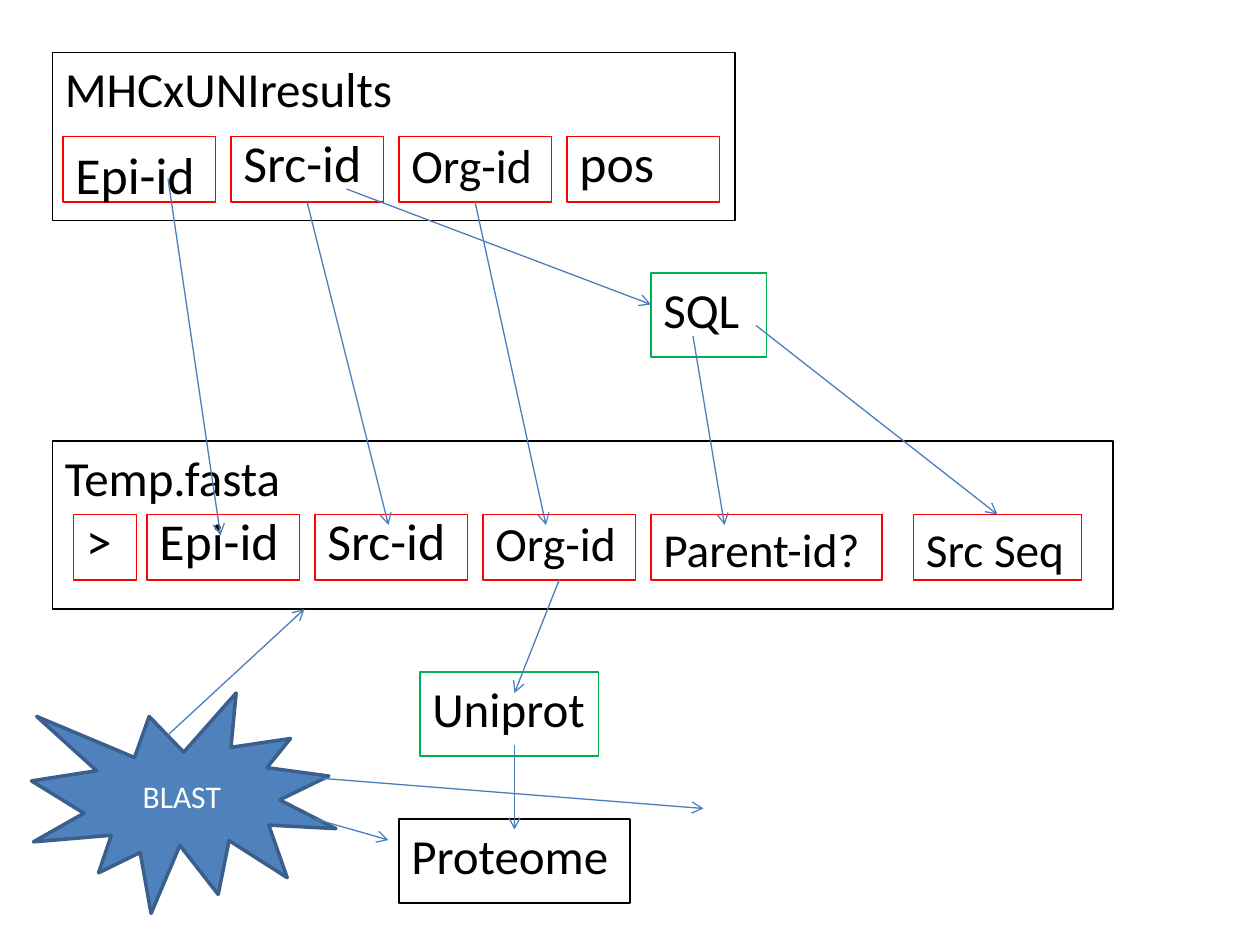
"""Build the epitope data flow slide."""
from lxml import etree
from pptx import Presentation
from pptx.dml.color import RGBColor
from pptx.enum import shapes, text
from pptx.oxml.ns import qn
from pptx.util import Pt

BLACK, RED, GREEN = "000000", "FF0000", "00B050"
BLUE, EDGE, ARROW, WHITE = "4F81BD", "3A5F8C", "4B7EBC", "FFFFFF"
FONT = "Calibri"

FRAMES = [
    ("MHCxUNIresults", 30, 30, 390, 96, BLACK),
    ("Temp.fasta", 30, 252, 606, 96, BLACK),
    ("SQL", 372, 156, 66, 48, GREEN),
    ("Uniprot", 240, 384, 102, 48, GREEN),
    ("Proteome", 228, 468, 132, 48, BLACK),
]
WIDE, HIGH, PITCH = 87, 37.5, 96
ROWS = [
    (36, 78, [("Epi-id", 29.6, 1), ("Src-id", 29.6, 0.8),
              ("Org-id", 27.2, 0.9), ("pos", 29.6, 0.8)]),
    (84, 294, [("Epi-id", 29.6, 0.8), ("Src-id", 29.6, 0.8),
               ("Org-id", 27.2, 0.9)]),
]
EXTRAS = [
    (">", 42, 294, 36, 29.6, 0.8),
    ("Parent-id?", 372, 294, 132, 27, 1),
    ("Src Seq", 522, 294, 96, 27, 1),
]
ARROWS = [
    (198, 108, 372, 174), (396, 192, 414, 300), (96, 102, 126, 306),
    (175.5, 115.5, 222, 300), (271.5, 115.5, 312, 300),
    (432, 186, 570, 294), (319.5, 331.5, 294, 396), (294, 426, 294, 474),
    (96, 420, 174, 348), (180, 468, 222, 480), (174, 444, 402, 462),
]

deck = Presentation()
deck.slide_width, deck.slide_height = Pt(720), Pt(540)
slide = deck.slides.add_slide(deck.slide_layouts[6])


def color(code):
    return RGBColor.from_string(code)


def box(label, x, y, w, h, edge, size=28, lead=1, kind="RECTANGLE",
        fill=None, ink=BLACK, weight=0.75, mid=False):
    shape = slide.shapes.add_shape(
        getattr(shapes.MSO_SHAPE, kind), Pt(x), Pt(y), Pt(w), Pt(h))
    shape.shadow.inherit = False
    if fill:
        shape.fill.solid()
        shape.fill.fore_color.rgb = color(fill)
    else:
        shape.fill.background()
    shape.line.color.rgb = color(edge)
    shape.line.width = Pt(weight)
    frame = shape.text_frame
    frame.word_wrap = True
    frame.vertical_anchor = (text.MSO_ANCHOR.MIDDLE if mid
                             else text.MSO_ANCHOR.TOP)
    para = frame.paragraphs[0]
    para.alignment = text.PP_ALIGN.CENTER if mid else text.PP_ALIGN.LEFT
    para.line_spacing = float(lead)
    run = para.add_run()
    run.text = label
    run.font.name, run.font.size = FONT, Pt(size)
    run.font.color.rgb = color(ink)


def arrow(*ends):
    link = slide.shapes.add_connector(
        shapes.MSO_CONNECTOR.STRAIGHT, *map(Pt, ends))
    link.line.color.rgb = color(ARROW)
    link.line.width = Pt(0.75)
    etree.SubElement(link.line._get_or_add_ln(), qn("a:tailEnd"), type="arrow")
    etree.SubElement(link._element.spPr, qn("a:effectLst"))


for frame in FRAMES:
    box(*frame)
for left, top, cells in ROWS:
    for i, (label, size, lead) in enumerate(cells):
        box(label, left + i * PITCH, top, WIDE, HIGH, RED, size, lead)
for label, x, y, w, size, lead in EXTRAS:
    box(label, x, y, w, HIGH, RED, size, lead)
box("BLAST", 18, 396, 174, 126, EDGE, 18, kind="EXPLOSION1",
    fill=BLUE, ink=WHITE, weight=2, mid=True)
for ends in ARROWS:
    arrow(*ends)

deck.save("out.pptx")
